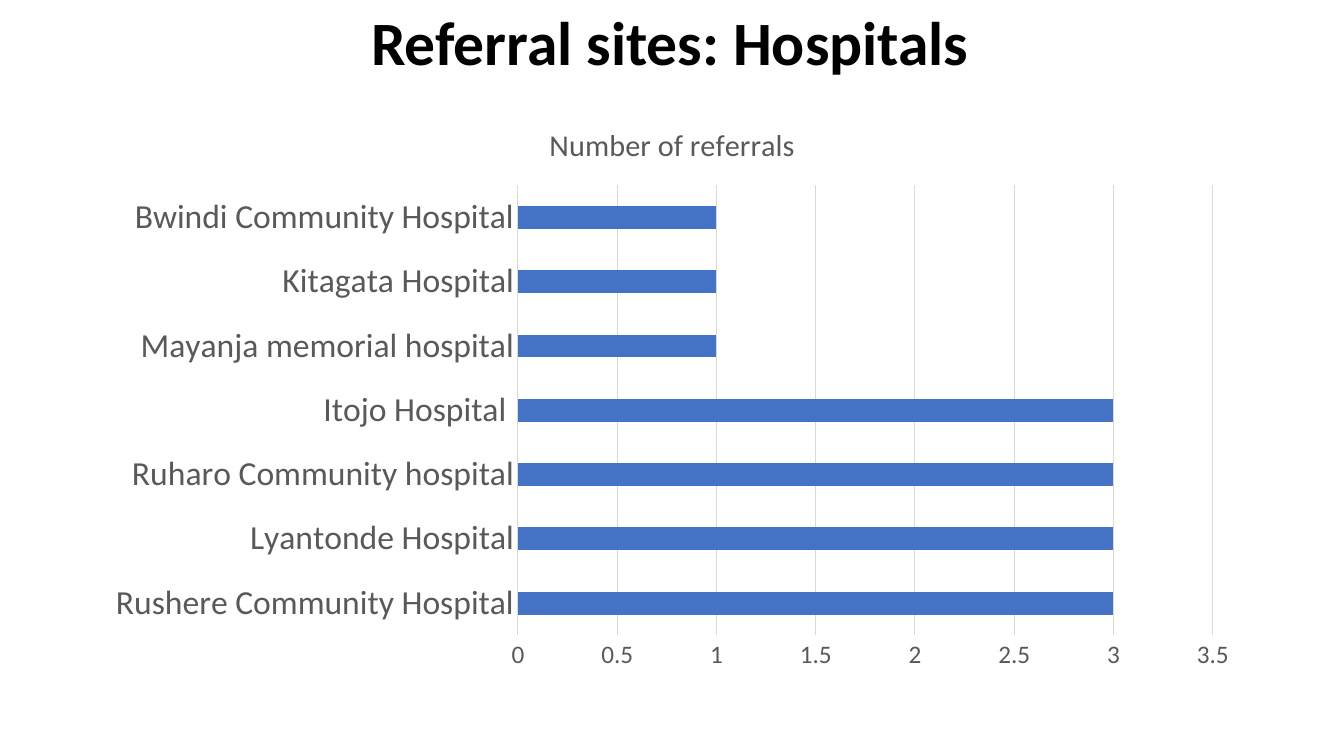
from dataclasses import dataclass

from pptx import Presentation
from pptx.chart.axis import _BaseAxis as Axis
from pptx.chart.data import CategoryChartData
from pptx.dml.color import RGBColor
from pptx.enum.chart import XL_CHART_TYPE as ChartType, XL_TICK_MARK as TickMark
from pptx.enum.text import MSO_ANCHOR as Anchor, MSO_AUTO_SIZE as AutoSize, PP_ALIGN as Align
from pptx.text.text import Font
from pptx.util import Pt

COLOURS = {"title": "000000", "label": "595959", "rule": "D9D9D9", "bar": "4472C4"}
FONT_NAME = "Calibri"
SERIES_NAME = "Number of referrals"


@dataclass
class Hospital:
    name: str
    referrals: int


HOSPITALS = [
    Hospital("Rushere Community Hospital", 3),
    Hospital("Lyantonde Hospital", 3),
    Hospital("Ruharo Community hospital", 3),
    Hospital("Itojo Hospital ", 3),
    Hospital("Mayanja memorial hospital", 1),
    Hospital("Kitagata Hospital", 1),
    Hospital("Bwindi Community Hospital", 1),
]


def colour(name: str) -> RGBColor:
    return RGBColor.from_string(COLOURS[name])


def style_font(font: Font, size: float, colour_name: str, bold: bool = False) -> None:
    font.name = FONT_NAME
    font.size = Pt(size)
    font.bold = bold
    font.color.rgb = colour(colour_name)


def style_axis(axis: Axis, size: float) -> None:
    axis.major_tick_mark = axis.minor_tick_mark = TickMark.NONE
    style_font(axis.tick_labels.font, size, "label")


def add_title(slide, text: str) -> None:
    title = slide.shapes.title
    title.left, title.top, title.width, title.height = Pt(64.8), Pt(0), Pt(828), Pt(65.5)
    frame = title.text_frame
    frame.text = text
    frame.auto_size = AutoSize.NONE
    frame.vertical_anchor = Anchor.MIDDLE
    paragraph = frame.paragraphs[0]
    paragraph.alignment = Align.CENTER
    paragraph.line_spacing = 0.9
    style_font(paragraph.font, 44, "title", bold=True)


def add_referral_chart(slide, hospitals: list[Hospital]) -> None:
    data = CategoryChartData()
    data.categories = [hospital.name for hospital in hospitals]
    data.add_series(SERIES_NAME, [hospital.referrals for hospital in hospitals])
    chart = slide.shapes.add_chart(
        ChartType.BAR_CLUSTERED, Pt(66.24), Pt(72), Pt(828), Pt(414.72), data
    ).chart
    style_font(chart.font, 18, "title")
    chart.has_legend = False

    # Chart title
    chart.has_title = True
    chart.chart_title.include_in_layout = False
    frame = chart.chart_title.text_frame
    frame.text = SERIES_NAME
    style_font(frame.paragraphs[0].font, 21.6, "label")

    # Bars
    plot = chart.plots[0]
    plot.gap_width = 182
    plot.vary_by_categories = False
    fill = plot.series[0].format.fill
    fill.solid()
    fill.fore_color.rgb = colour("bar")

    # Axes and gridlines
    style_axis(chart.category_axis, 24)
    style_axis(chart.value_axis, 18)
    chart.value_axis.has_major_gridlines = True
    chart.value_axis.format.line.fill.background()
    for rule in (chart.category_axis, chart.value_axis.major_gridlines):
        rule.format.line.color.rgb = colour("rule")
        rule.format.line.width = Pt(0.75)


def main() -> None:
    presentation = Presentation()
    presentation.slide_width, presentation.slide_height = Pt(960), Pt(540)
    slide = presentation.slides.add_slide(presentation.slide_layouts[5])
    add_title(slide, "Referral sites: Hospitals")
    add_referral_chart(slide, HOSPITALS)
    presentation.save("out.pptx")


if __name__ == "__main__":
    main()
